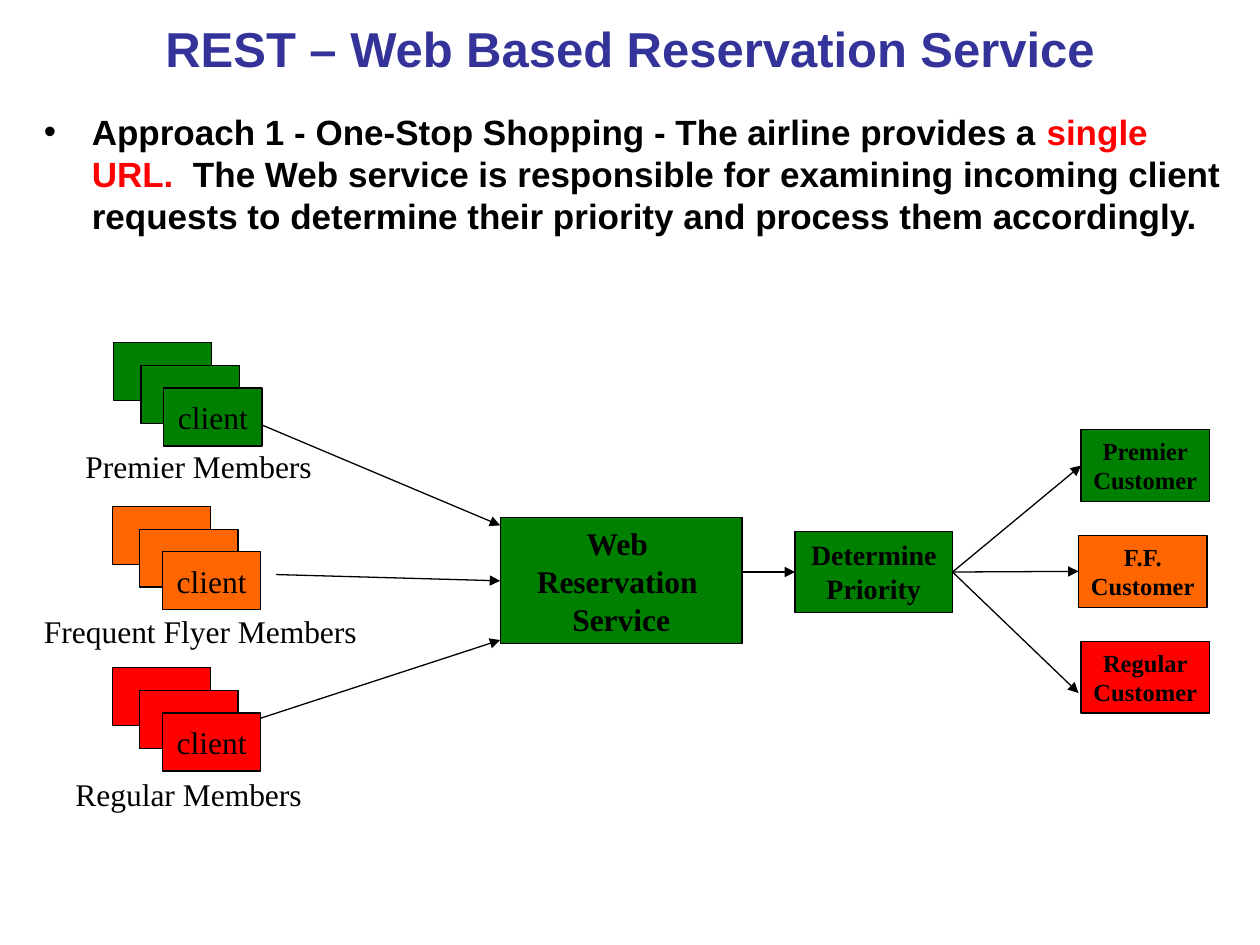
from lxml import etree
from pptx import Presentation
from pptx.dml.color import RGBColor
from pptx.enum import shapes, text
from pptx.oxml.ns import qn
from pptx.util import Inches, Pt

BLACK = RGBColor(0, 0, 0)
NAVY = RGBColor(0x33, 0x33, 0x99)
GREEN = RGBColor(0, 0x80, 0)
ORANGE = RGBColor(0xFF, 0x66, 0)
RED = RGBColor(0xFF, 0, 0)
SERIF, SANS = "Times New Roman", "Arial"
LEFT, RIGHT = 1, 3


def write(sp, lines, size=18, font=SERIF, bold=False, wrap=True,
          align=text.PP_ALIGN.CENTER, anchor=text.MSO_ANCHOR.TOP):
    """Fill a shape; each line is a list of (text, colour) runs or a string."""
    tf = sp.text_frame
    tf.word_wrap = wrap
    tf.vertical_anchor = anchor
    for i, line in enumerate(lines):
        p = tf.paragraphs[0] if i == 0 else tf.add_paragraph()
        p.alignment = align
        for words, color in [(line, BLACK)] if isinstance(line, str) else line:
            r = p.add_run()
            r.text = words
            r.font.size, r.font.name, r.font.bold = Pt(size), font, bold
            r.font.color.rgb = color
    return tf


def add_text(s, x, y, w, h, lines, **fmt):
    sp = s.shapes.add_textbox(Inches(x), Inches(y), Inches(w), Inches(h))
    return write(sp, lines, **fmt)


def add_box(s, x, y, w, h, color, lines=(), **fmt):
    sp = s.shapes.add_shape(shapes.MSO_SHAPE.RECTANGLE,
                            Inches(x), Inches(y), Inches(w), Inches(h))
    sp.shadow.inherit = False
    sp.fill.solid()
    sp.fill.fore_color.rgb = color
    sp.line.color.rgb = BLACK
    sp.line.width = Pt(0.75)
    write(sp, lines, **fmt)
    return sp


def add_arrow(s, start, end):
    """Each end is an (x, y) point or a (shape, side) pair to join."""
    def is_point(place):
        return isinstance(place[0], (int, float))

    (x1, y1), (x2, y2) = [p if is_point(p) else (0, 0) for p in (start, end)]
    c = s.shapes.add_connector(shapes.MSO_CONNECTOR.STRAIGHT, Inches(x1),
                               Inches(y1), Inches(x2), Inches(y2))
    if not is_point(start):
        c.begin_connect(*start)
    if not is_point(end):
        c.end_connect(*end)
    c.line.color.rgb = BLACK
    c.line.width = Pt(0.75)
    etree.SubElement(c.get_or_add_ln(), qn("a:tailEnd"), type="triangle")
    etree.SubElement(c.element.spPr, qn("a:effectLst"))


def add_heading(s, x, y, w):
    add_text(s, x + 0.25, y, w - 0.58, 0.42,
             [[("REST – Web Based Reservation Service", NAVY)]],
             size=28, font=SANS, bold=True, anchor=text.MSO_ANCHOR.MIDDLE)
    tf = add_text(s, x, y + 0.66, w, 6.33, [[
        ("Approach 1 - One-Stop Shopping - The airline provides a ", BLACK),
        ("single URL.", RED),
        ("  The Web service is responsible for examining incoming client "
         "requests to determine their priority and process them accordingly.",
         BLACK)]],
        size=20, font=SANS, bold=True, align=text.PP_ALIGN.LEFT)
    p = tf.paragraphs[0]
    p.space_before = Pt(5)
    pPr = p._p.get_or_add_pPr()
    pPr.set("marL", str(Inches(0.38)))
    pPr.set("indent", str(Inches(-0.38)))
    bullet_color = etree.SubElement(pPr, qn("a:buClr"))
    etree.SubElement(bullet_color, qn("a:srgbClr"), val=str(BLACK))
    etree.SubElement(pPr, qn("a:buFont"), typeface=SANS)
    etree.SubElement(pPr, qn("a:buChar"), char="•")


def add_client_stack(s, x, y, color):
    for dx, dy, lines in ((0, 0, ()), (0.22, 0.18, ()), (0.4, 0.36, ["client"])):
        add_box(s, x + dx, y + dy, 0.78, 0.46, color, lines, wrap=False,
                anchor=text.MSO_ANCHOR.MIDDLE)


def add_members(s, x, y):
    """Labelled client stacks, one for each kind of member."""
    for dx, dy, w, label in ((0.33, 0, 2.05, "Premier Members"),
                             (0, 1.31, 2.75, "Frequent Flyer Members"),
                             (0.25, 2.6, 2.05, "Regular Members")):
        add_text(s, x + dx, y + dy, w, 0.4, [label],
                 align=text.PP_ALIGN.LEFT)
    for dx, dy, color in ((0.65, -0.78, GREEN), (0.64, 0.52, ORANGE),
                          (0.64, 1.8, RED)):
        add_client_stack(s, x + dx, y + dy, color)


def add_service(s, x, y):
    """Service and priority boxes with the arrows into them."""
    service = add_box(s, x, y, 1.92, 1, GREEN,
                      ["Web ", "Reservation ", "Service"], bold=True)
    priority = add_box(s, x + 2.34, y + 0.11, 1.25, 0.64, GREEN,
                       ["Determine", "Priority"], size=16, bold=True)
    add_arrow(s, (2, 3.34), (x, y + 0.06))
    add_arrow(s, (2.19, 4.56), (service, LEFT))
    add_arrow(s, (1.64, 5.84), (x, y + 0.97))
    add_arrow(s, (x + 1.92, y + 0.43), (priority, LEFT))
    return priority


def add_customers(s, x, y, priority):
    """Customer queues, each reached from the priority box."""
    queues = [add_box(s, x + dx, y + i * 0.84, 1.02, 0.57, color,
                      [name, "Customer"], size=14, bold=True, wrap=False)
              for i, (name, color, dx) in enumerate((
                  ("Premier", GREEN, 0.02), ("F.F.", ORANGE, 0),
                  ("Regular", RED, 0.02)))]
    for end in ((queues[0], LEFT), (queues[1], LEFT), (x, y + 2.09)):
        add_arrow(s, (priority, RIGHT), end)


def main():
    prs = Presentation()
    prs.slide_width, prs.slide_height = Inches(10), Inches(7.5)
    s = prs.slides.add_slide(prs.slide_layouts[6])
    add_heading(s, 0.25, 0.17, 9.58)
    priority = add_service(s, 3.97, 4.11)
    add_customers(s, 8.56, 3.41, priority)
    add_members(s, 0.25, 3.5)
    prs.save("out.pptx")


if __name__ == "__main__":
    main()
